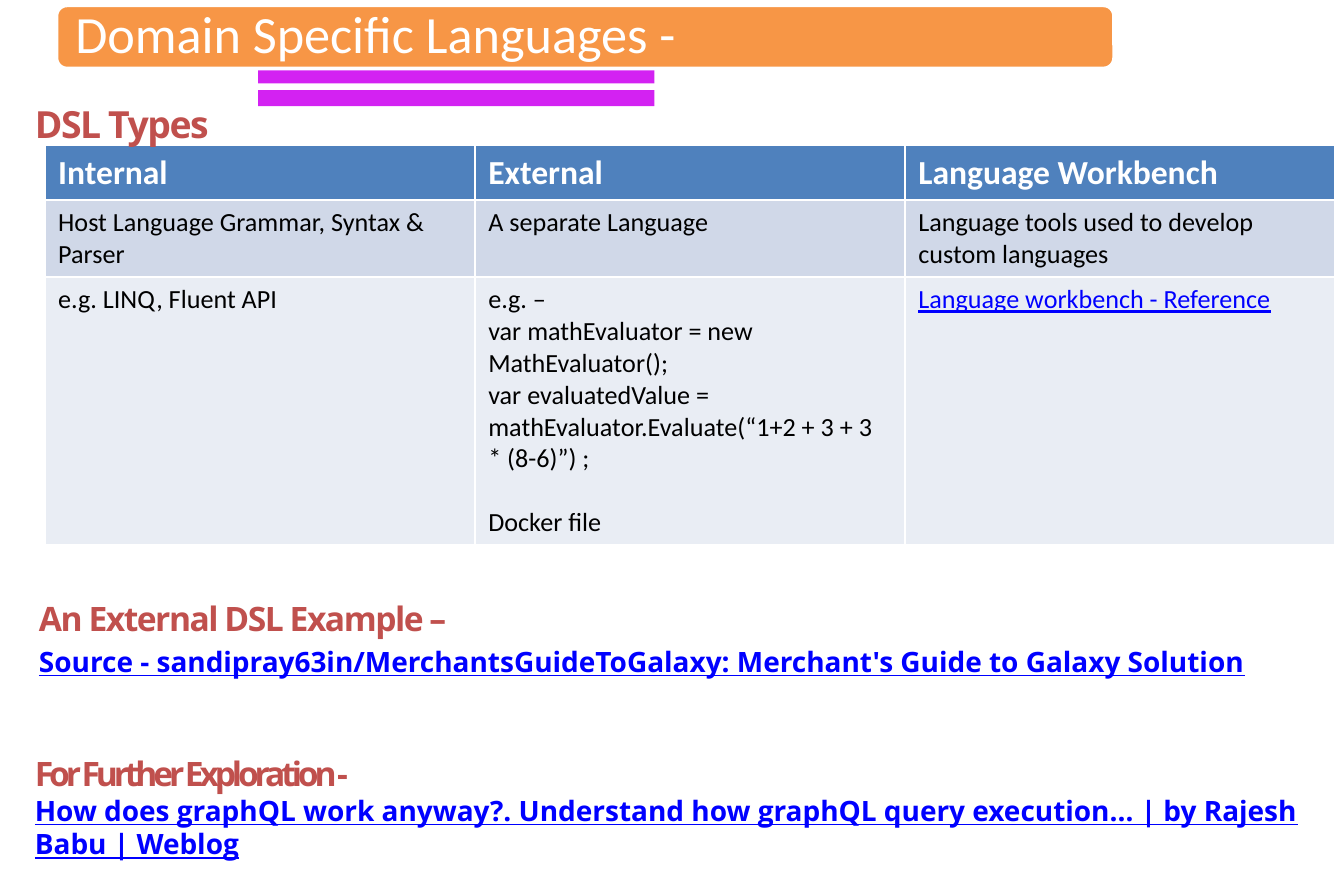
import pptx
import pptx.dml.color
import pptx.enum.shapes
import pptx.enum.text
import pptx.util

ORANGE, MAGENTA, RED, BLUE = "F79646", "D322F2", "C0504D", "0000FF"
WHITE, BLACK = "FFFFFF", "000000"
HEADER_FILL, BAND_FILLS = "4F81BD", ("D0D8E8", "E9EDF4")


def colour(value):
    return pptx.dml.color.RGBColor.from_string(value)


def write(paragraph, text, size, color, font="Calibri", bold=False,
          underline=False, spacing=0, before=0):
    """Add one formatted run; spacing is the letter spacing in points."""
    if before:
        paragraph.space_before = pptx.util.Pt(before)
    run = paragraph.add_run()
    run.text = text
    run.font.size = pptx.util.Pt(size)
    run.font.name = font
    run.font.bold = bold
    run.font.underline = underline
    run.font.color.rgb = colour(color)
    if spacing:
        run._r.get_or_add_rPr().set("spc", str(round(spacing * 100)))


presentation = pptx.Presentation()
presentation.slide_width = pptx.util.Inches(10)
presentation.slide_height = pptx.util.Inches(6.5)
column = presentation.slide_width // 100
row = presentation.slide_height // 65
slide = presentation.slides.add_slide(presentation.slide_layouts[5])

# Two accent bars, then the title banner over them
for top in (6.7, 5.0):
    bar = slide.shapes.add_shape(
        pptx.enum.shapes.MSO_SHAPE.RECTANGLE,
        int(19.2 * column), int(top * row), int(29.5 * column), int(1.2 * row))
    bar.shadow.inherit = False
    bar.fill.solid()
    bar.fill.fore_color.rgb = colour(MAGENTA)
    bar.line.fill.background()

banner = slide.shapes.add_shape(
    pptx.enum.shapes.MSO_SHAPE.ROUNDED_RECTANGLE,
    int(4.2 * column), int(0.4 * row), int(78.7 * column), int(4.7 * row))
banner.shadow.inherit = False
banner.fill.solid()
banner.fill.fore_color.rgb = colour(ORANGE)
banner.line.color.rgb = colour(WHITE)
banner.line.width = pptx.util.Pt(2)

title = slide.shapes.title
slide.shapes._spTree.append(title._element)  # bring the title in front of its banner
title.left, title.top = int(4.4 * column), int(0.6 * row)
title.width, title.height = int(78.2 * column), int(4.3 * row)
frame = title.text_frame
frame.auto_size = pptx.enum.text.MSO_AUTO_SIZE.NONE
frame.vertical_anchor = pptx.enum.text.MSO_ANCHOR.MIDDLE
frame.margin_left = frame.margin_right = int(1.2 * column)
frame.margin_top = frame.margin_bottom = int(1.2 * row)
paragraph = frame.paragraphs[0]
paragraph.alignment = pptx.enum.text.PP_ALIGN.LEFT
paragraph.line_spacing = 0.9
write(paragraph, "Domain Specific Languages -", 28, WHITE)

# Table of DSL types: each cell is a list of paragraphs
cells = [
    [["Internal"], ["External"], ["Language Workbench"]],
    [["Host Language Grammar, Syntax & Parser"],
     ["A separate Language"],
     ["Language tools used to develop custom languages"]],
    [["e.g. LINQ, Fluent API"],
     ["e.g. –",
      "var mathEvaluator = new MathEvaluator();",
      "var evaluatedValue = mathEvaluator.Evaluate(“1+2 + 3 + 3 * (8-6)”) ;",
      "Docker file"],
     ["Language workbench - Reference"]],
]
row_heights = (3.9, 5.6, 19.9)
table = slide.shapes.add_table(
    len(cells), len(cells[0]), int(3.33 * column), int(10.83 * row),
    96 * column, int(sum(row_heights) * row)).table
for table_column in table.columns:
    table_column.width = 32 * column
for row_index, row_cells in enumerate(cells):
    table.rows[row_index].height = int(row_heights[row_index] * row)
    header = row_index == 0
    for column_index, lines in enumerate(row_cells):
        cell = table.cell(row_index, column_index)
        cell.margin_right = int(1.5 * column)
        cell.fill.solid()
        cell.fill.fore_color.rgb = colour(HEADER_FILL if header else BAND_FILLS[row_index - 1])
        for index, line in enumerate(lines):
            paragraph = cell.text_frame.paragraphs[0] if index == 0 else cell.text_frame.add_paragraph()
            link = line.startswith("Language workbench -")
            write(paragraph, line, 18 if header else 14,
                  WHITE if header else BLUE if link else BLACK,
                  bold=header, underline=link,
                  before=17 if line == "Docker file" else 0)

# Headings with their reference lines:
# left, top, height, heading, size, letter spacing, reference, space before it
sections = [
    (2.6, 7.5, 3.4, "DSL Types", 20, -0.8, None, 0),
    (2.9, 44.5, 6.1, "An External DSL Example –", 18, -0.8,
     "Source - sandipray63in/MerchantsGuideToGalaxy: Merchant's Guide to Galaxy Solution", 3),
    (2.6, 56, 8.1, "For Further Exploration -", 18, -2.2,
     "How does graphQL work anyway?. Understand how graphQL query execution… "
     "| by Rajesh Babu | Weblog", 0),
]
for left, top, height, heading, size, spacing, reference, before in sections:
    box = slide.shapes.add_textbox(
        int(left * column), int(top * row), int(94.3 * column), int(height * row))
    frame = box.text_frame
    frame.word_wrap = True
    frame.margin_left = frame.margin_right = frame.margin_top = frame.margin_bottom = 0
    write(frame.paragraphs[0], heading, size, RED, font="Open Sans", bold=True, spacing=spacing)
    if reference:
        write(frame.add_paragraph(), reference, 15, BLUE, font="Open Sans",
              bold=True, underline=True, before=before)

presentation.save("out.pptx")
